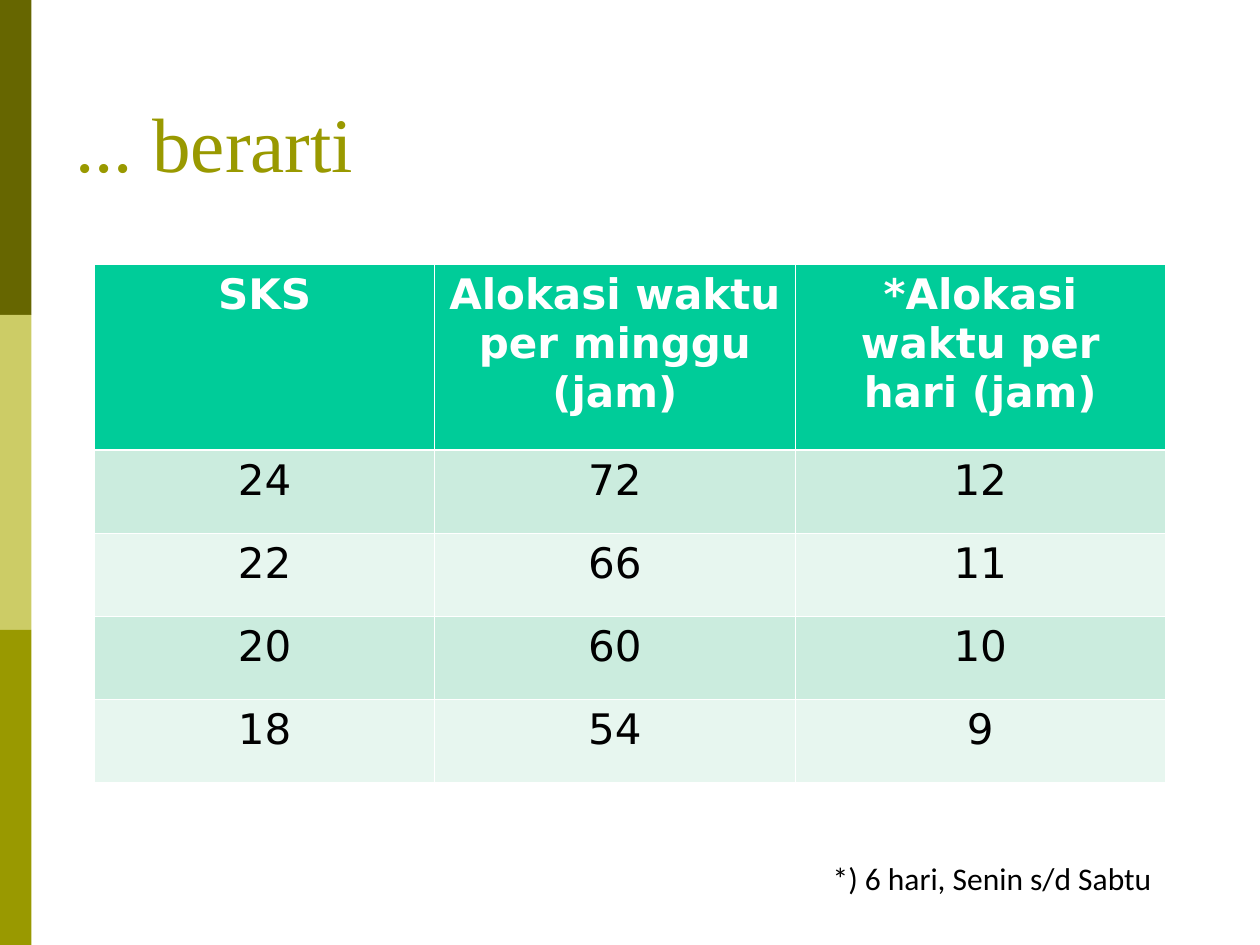
from dataclasses import dataclass

from lxml import etree
from pptx import Presentation
from pptx import util as u
from pptx.dml.color import RGBColor
from pptx.enum import shapes, text
from pptx.oxml import ns


@dataclass(frozen=True)
class Style:
    font: str
    size: float
    color: str
    bold: bool = False


@dataclass(frozen=True)
class Label:
    wording: str
    left: float
    top: float
    width: float
    height: float
    style: Style
    anchor: text.MSO_ANCHOR = text.MSO_ANCHOR.TOP
    wrap: bool = True


BAND_COLORS = ["666600", "CCCC66", "999900"]
BAND_WIDTH, BAND_HEIGHT = 0.25, 2.5

TITLE = Label("... berarti", 0.5, 0.3, 9, 1.24,
              Style("Times New Roman", 44, "999900"), text.MSO_ANCHOR.BOTTOM)
FOOTNOTE = Label("*) 6 hari, Senin s/d Sabtu", 6.51, 6.77, 2.73, 0.4,
                 Style("Calibri", 18, "000000"), wrap=False)

HEADINGS = ["SKS", "Alokasi waktu per minggu (jam)", "*Alokasi waktu per hari (jam)"]
ALLOCATIONS = [(24, 72, 12), (22, 66, 11), (20, 60, 10), (18, 54, 9)]
COLUMN_WIDTHS = [2.7, 2.86, 2.94]
ROW_HEIGHTS = [1.47] + [0.66] * len(ALLOCATIONS)
HEADING_STYLE = Style("DejaVu Sans", 24, "FFFFFF", True)
VALUE_STYLE = Style("DejaVu Sans", 24, "000000")
HEADING_FILL = "00CC99"
STRIPES = ["CBECDE", "E7F6EF"]
GRID_COLOR = "FFFFFF"
THIN, THICK = 0.45, 1.47


def rgb(color: str) -> RGBColor:
    return RGBColor.from_string(color)


def write(frame, wording: str, style: Style) -> None:
    paragraph = frame.paragraphs[0]
    paragraph.text = wording
    font = paragraph.font
    font.name, font.size, font.bold = style.font, u.Pt(style.size), style.bold
    font.color.rgb = rgb(style.color)


def draw_band(slide, index: int, color: str) -> None:
    band = slide.shapes.add_shape(
        shapes.MSO_SHAPE.RECTANGLE, 0, u.Inches(index * BAND_HEIGHT),
        u.Inches(BAND_WIDTH), u.Inches(BAND_HEIGHT))
    band.shadow.inherit = False
    band.fill.solid()
    band.fill.fore_color.rgb = rgb(color)
    band.line.fill.background()


def draw_label(slide, label: Label) -> None:
    box = slide.shapes.add_textbox(
        u.Inches(label.left), u.Inches(label.top),
        u.Inches(label.width), u.Inches(label.height))
    frame = box.text_frame
    frame.word_wrap = label.wrap
    frame.vertical_anchor = label.anchor
    write(frame, label.wording, label.style)


def add_border(cell, side: str, points: float) -> None:
    properties = cell._tc.get_or_add_tcPr()
    line = etree.SubElement(properties, ns.qn(f"a:ln{side}"), w=str(u.Pt(points)))
    fill = etree.SubElement(line, ns.qn("a:solidFill"))
    etree.SubElement(fill, ns.qn("a:srgbClr"), val=GRID_COLOR)


def draw_cell(cell, wording: str, row: int) -> None:
    heading = row == 0
    write(cell.text_frame, wording, HEADING_STYLE if heading else VALUE_STYLE)
    cell.text_frame.paragraphs[0].alignment = text.PP_ALIGN.CENTER
    add_border(cell, "L", THIN)
    add_border(cell, "R", THIN)
    add_border(cell, "T", THICK if row == 1 else THIN)
    add_border(cell, "B", THICK if heading else THIN)
    cell.fill.solid()
    color = HEADING_FILL if heading else STRIPES[(row - 1) % len(STRIPES)]
    cell.fill.fore_color.rgb = rgb(color)


def draw_allocations(slide) -> None:
    table = slide.shapes.add_table(
        len(ROW_HEIGHTS), len(COLUMN_WIDTHS), u.Inches(0.75), u.Inches(2.1),
        u.Inches(sum(COLUMN_WIDTHS)), u.Inches(sum(ROW_HEIGHTS))).table
    for column, width in zip(table.columns, COLUMN_WIDTHS):
        column.width = u.Inches(width)
    for row, height in zip(table.rows, ROW_HEIGHTS):
        row.height = u.Inches(height)
    for row, entries in enumerate([HEADINGS, *ALLOCATIONS]):
        for column, entry in enumerate(entries):
            draw_cell(table.cell(row, column), str(entry), row)


def main() -> None:
    deck = Presentation()
    deck.slide_width, deck.slide_height = u.Inches(10), u.Inches(7.5)
    slide = deck.slides.add_slide(deck.slide_layouts[6])
    for index, color in enumerate(BAND_COLORS):
        draw_band(slide, index, color)
    draw_label(slide, TITLE)
    draw_allocations(slide)
    draw_label(slide, FOOTNOTE)
    deck.save("out.pptx")


if __name__ == "__main__":
    main()
